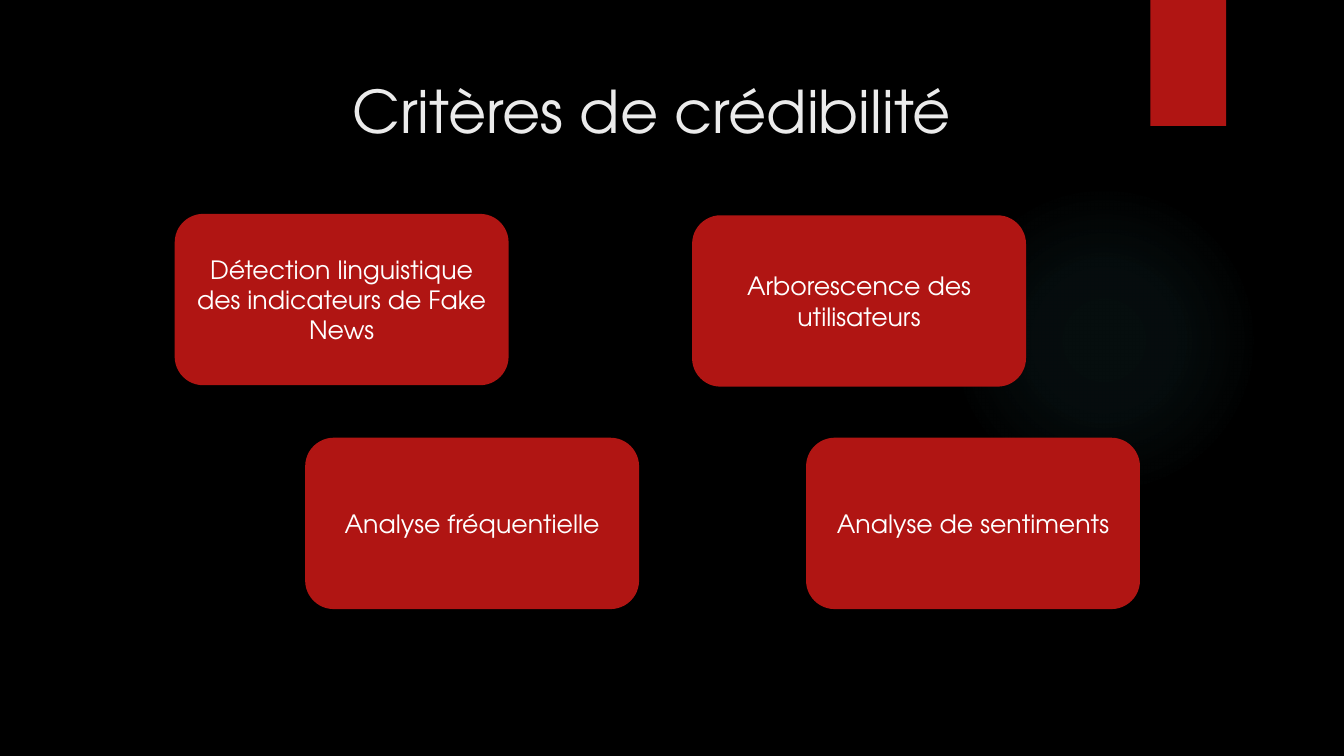
"""Build the slide on credibility criteria: a title above four staggered cards."""
from lxml import etree
from pptx import Presentation
from pptx.dml.color import RGBColor
from pptx.enum.shapes import MSO_SHAPE
from pptx.enum.text import MSO_ANCHOR, PP_ALIGN
from pptx.oxml import parse_xml
from pptx.oxml.ns import nsdecls, qn
from pptx.util import Pt

BLACK = RGBColor(0x00, 0x00, 0x00)
RED = RGBColor(0xB0, 0x15, 0x13)
TEAL = RGBColor(0x50, 0xB9, 0xC1)
WHITE = RGBColor(0xFF, 0xFF, 0xFF)
PALE = RGBColor(0xEB, 0xEB, 0xEB)
FONT = "TeX Gyre Adventor"
CARD_WIDTH, CARD_HEIGHT = 238.5, 122.4
LOWER_TOP = 312.7


def add_plain_shape(kind, left, top, width, height):
    shape = page.shapes.add_shape(kind, Pt(left), Pt(top), Pt(width), Pt(height))
    shape.shadow.inherit = False
    shape.fill.solid()
    shape.fill.fore_color.rgb = RED
    shape.line.fill.background()
    return shape


def write_centred(box, text, size, color, anchor):
    frame = box.text_frame
    frame.word_wrap = True
    frame.vertical_anchor = anchor
    para = frame.paragraphs[0]
    para.alignment = PP_ALIGN.CENTER
    span = para.add_run()
    span.text = text
    span.font.name = FONT
    span.font.size = Pt(size)
    span.font.color.rgb = color


deck = Presentation()
deck.slide_width, deck.slide_height = Pt(960), Pt(540)
page = deck.slides.add_slide(deck.slide_layouts[6])
page.background.fill.solid()
page.background.fill.fore_color.rgb = BLACK

glow = add_plain_shape(MSO_SHAPE.OVAL, 677.5, 131.8, 221.8, 221.8)
stops = "".join(
    f'<a:gs pos="{position * 1000}"><a:srgbClr val="{TEAL}">'
    f'<a:alpha val="{opacity * 1000}"/></a:srgbClr></a:gs>'
    for position, opacity in [(0, 7), (36, 6), (69, 0), (100, 0)]
)
gradient = parse_xml(
    f'<a:gradFill {nsdecls("a")} rotWithShape="1"><a:gsLst>{stops}</a:gsLst>'
    '<a:path path="circle"><a:fillToRect l="50000" t="50000" r="50000" b="50000"/>'
    "</a:path></a:gradFill>"
)
glow_properties = glow.element.spPr
glow_properties.replace(glow_properties.find(qn("a:solidFill")), gradient)

ribbon = add_plain_shape(MSO_SHAPE.RECTANGLE, 821.8, 0, 54, 90)
effects = ribbon.element.spPr.find(qn("a:effectLst"))
shadow = etree.SubElement(
    effects, qn("a:outerShdw"), blurRad=str(Pt(3)), dist=str(Pt(2)), dir="5400000", rotWithShape="0"
)
shadow_color = etree.SubElement(shadow, qn("a:srgbClr"), val=str(BLACK))
etree.SubElement(shadow_color, qn("a:alpha"), val="45000")

cards = [
    ("Détection linguistique des indicateurs de Fake News", 124.8, 152.8),
    ("Arborescence des utilisateurs", 494.4, 153.8),
    ("Analyse de sentiments", 575.8, LOWER_TOP),
    ("Analyse fréquentielle", 218, LOWER_TOP),
]
for label, left, top in cards:
    card = add_plain_shape(MSO_SHAPE.ROUNDED_RECTANGLE, left, top, CARD_WIDTH, CARD_HEIGHT)
    write_centred(card, label, 18, WHITE, MSO_ANCHOR.MIDDLE)

title = page.shapes.add_textbox(Pt(95), Pt(49.7), Pt(740.9), Pt(110.2))
write_centred(title, "Critères de crédibilité", 42, PALE, MSO_ANCHOR.TOP)

deck.save("out.pptx")
